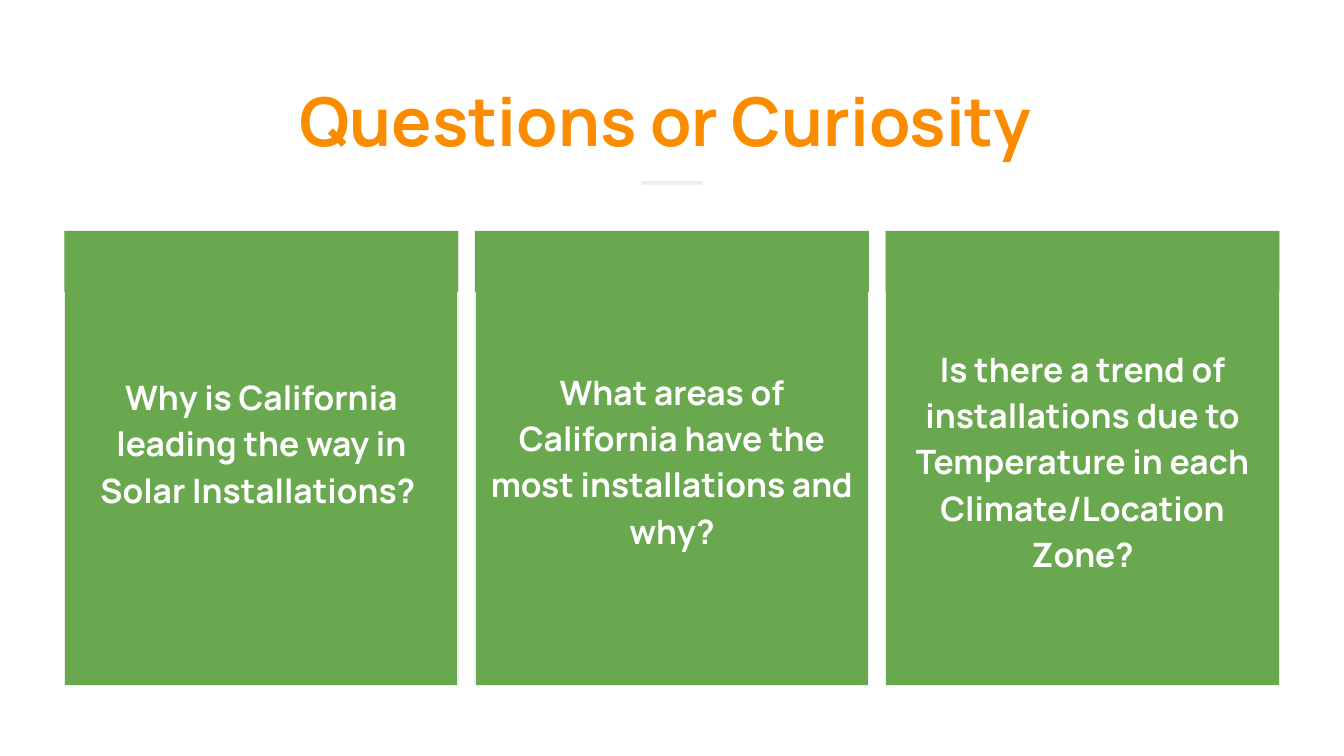
from pptx import Presentation
from pptx.dml.color import RGBColor
from pptx.enum.shapes import MSO_CONNECTOR as Connector, MSO_SHAPE as Shape
from pptx.enum.text import MSO_ANCHOR as Anchor, PP_ALIGN as Align
from pptx.oxml.ns import qn
from pptx.util import Inches, Pt
from lxml import etree

THEME = {
    "font": "Manrope",
    "orange": RGBColor.from_string("FB8C00"),
    "green": RGBColor.from_string("6AA84F"),
    "grey": RGBColor.from_string("EEEEEE"),
    "white": RGBColor.from_string("FFFFFF"),
    "title_size": Pt(36),
    "body_size": Pt(18),
}


def write(box, text, size, color, anchor, spacing=1.0):
    frame = box.text_frame
    margin = Inches(0.1)
    layout = {"word_wrap": True, "vertical_anchor": anchor,
              "margin_left": margin, "margin_right": margin,
              "margin_top": margin, "margin_bottom": margin}
    for name, value in layout.items():
        setattr(frame, name, value)
    para = frame.paragraphs[0]
    para.alignment = Align.CENTER
    para.line_spacing = spacing
    span = para.add_run()
    span.text = text
    for name, value in {"name": THEME["font"], "size": size, "bold": True}.items():
        setattr(span.font, name, value)
    span.font.color.rgb = color


def add_panel(group, left, top, width, height, outlined):
    panel = group.shapes.add_shape(Shape.RECTANGLE, Inches(left), Inches(top),
                                   Inches(width), Inches(height))
    panel.shadow.inherit = False
    panel.fill.solid()
    panel.fill.fore_color.rgb = THEME["green"]
    if outlined:
        panel.line.color.rgb = THEME["grey"]
        panel.line.width = Pt(0.75)
    else:
        panel.line.fill.background()
    return panel


# Widescreen 16:9 page
deck = Presentation()
deck.slide_width = Inches(10)
deck.slide_height = Inches(10 * 9 / 16)
page = deck.slides.add_slide(deck.slide_layouts[6])
page.background.fill.solid()
page.background.fill.fore_color.rgb = THEME["white"]

# Title
title = page.shapes.add_textbox(Inches(0.34), Inches(0.49), Inches(9.32), Inches(0.63))
write(title, "Questions or Curiosity ", THEME["title_size"], THEME["orange"], Anchor.TOP)

# Short rule under the title
rule = page.shapes.add_connector(Connector.STRAIGHT, Inches(4.77), Inches(1.36),
                                 Inches(5.23), Inches(1.36))
rule.line.color.rgb = THEME["grey"]
rule.line.width = Pt(2.25)
etree.SubElement(rule._element.spPr, qn("a:effectLst"))

# Question cards, evenly spread, each with a header band
questions = [
    "Why is California leading the way in Solar Installations? ",
    "What areas of California have the most installations and why?",
    "Is there a trend of installations due to Temperature in each Climate/Location Zone?",
]
first_left, last_left = 0.48, 6.59
card_top, card_width, card_height, band_height = 1.72, 2.93, 3.38, 0.45
card_step = (last_left - first_left) / (len(questions) - 1)
cards = []
for index in range(len(questions)):
    group = page.shapes.add_group_shape()
    left = first_left + index * card_step
    cards.append(add_panel(group, left, card_top, card_width, card_height, True))
    add_panel(group, left, card_top, card_width, band_height, False)

# The first question sits in its own box, the others inside their cards
first_box = page.shapes.add_textbox(Inches(0.58), Inches(2.66), Inches(2.73), Inches(1.7))
places = [(first_box, Anchor.TOP)] + [(card, Anchor.MIDDLE) for card in cards[1:]]
for (box, anchor), question in zip(places, questions):
    write(box, question, THEME["body_size"], THEME["white"], anchor, 1.15)

deck.save("out.pptx")
